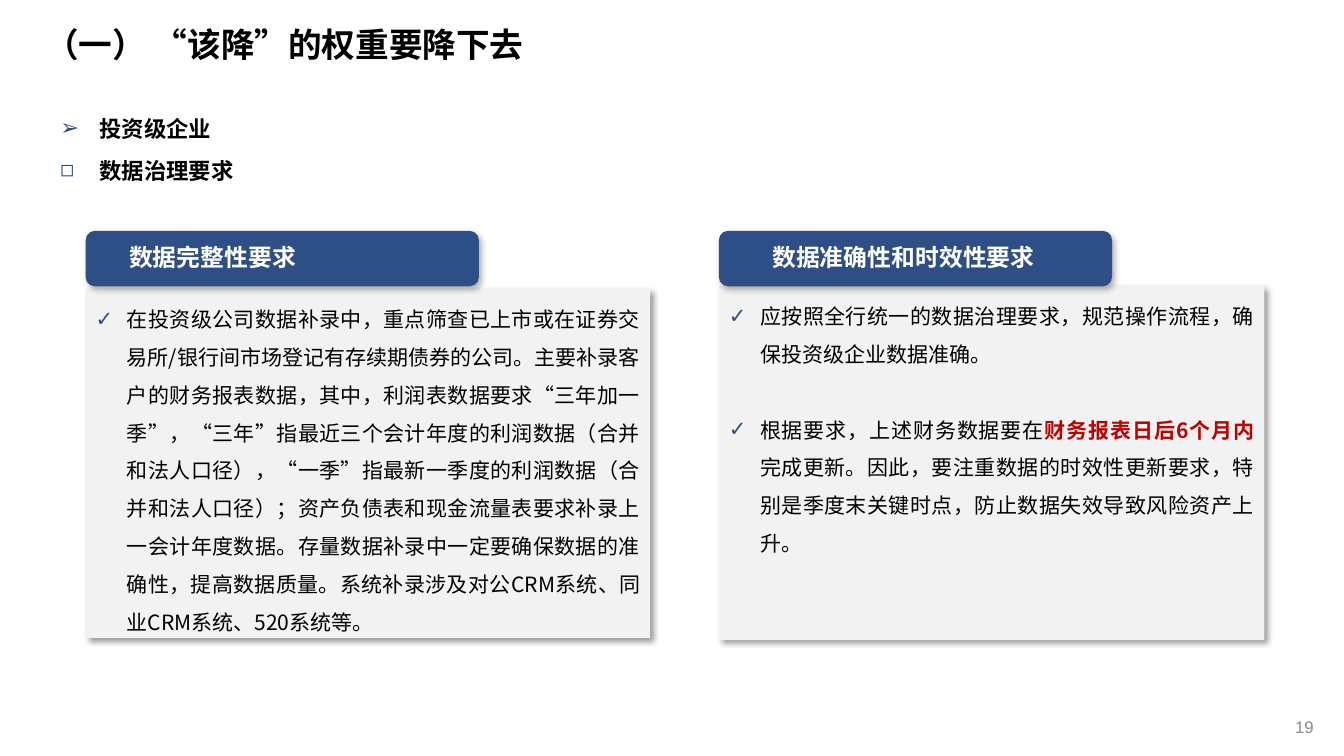
from lxml.etree import SubElement
from pptx import Presentation
from pptx.dml.color import RGBColor
from pptx.enum.shapes import MSO_SHAPE as Shape
from pptx.enum.text import MSO_ANCHOR as Anchor, MSO_AUTO_SIZE as AutoSize, PP_ALIGN as Align
from pptx.oxml.ns import qn
from pptx.util import Pt

EMU_PER_PX = 9144  # 100 px to the inch
NAVY = RGBColor(0x2E, 0x4F, 0x85)
PALE = RGBColor(0xF2, 0xF2, 0xF2)
GREY = RGBColor(0x8C, 0x8C, 0x8C)
RED = RGBColor(0xC0, 0x00, 0x00)
BLACK = RGBColor(0x00, 0x00, 0x00)
WHITE = RGBColor(0xFF, 0xFF, 0xFF)
CJK = "Noto Sans CJK SC"

TOPICS = [("➢", "投资级企业"), ("◻", "数据治理要求")]
COMPLETENESS = [[
    ("在投资级公司数据补录中，重点筛查已上市或在证券交易所/银行间市场登记有存续期债券的公司。"
     "主要补录客户的财务报表数据，其中，利润表数据要求“三年加一季”，“三年”指最近三个会计年度的"
     "利润数据（合并和法人口径），“一季”指最新一季度的利润数据（合并和法人口径）；资产负债表和"
     "现金流量表要求补录上一会计年度数据。存量数据补录中一定要确保数据的准确性，提高数据质量。"
     "系统补录涉及对公CRM系统、同业CRM系统、520系统等。", {}),
]]
ACCURACY = [
    [("应按照全行统一的数据治理要求，规范操作流程，确保投资级企业数据准确。", {})],
    [("根据要求，上述财务数据要在", {}),
     ("财务报表日后6个月内", {"color": RED, "bold": True}),
     ("完成更新。因此，要注重数据的时效性更新要求，特别是季度末关键时点，"
      "防止数据失效导致风险资产上升。", {})],
]


def px(*lengths):
    return [length * EMU_PER_PX for length in lengths]


class Page:
    def __init__(self, deck):
        self.slide = deck.slides.add_slide(deck.slide_layouts[5])
        self.shapes = self.slide.shapes

    def frame(self, box, anchor=Anchor.TOP, insets=(10, 5, 10, 5)):
        frame = box.text_frame
        left, top, right, bottom = px(*insets)
        values = {"word_wrap": True, "auto_size": AutoSize.NONE, "vertical_anchor": anchor,
                  "margin_left": left, "margin_top": top,
                  "margin_right": right, "margin_bottom": bottom}
        for name, value in values.items():
            setattr(frame, name, value)
        return frame

    def span(self, para, text, size, color=BLACK, bold=False, font=CJK):
        span = para.add_run()
        span.text = text
        span.font.color.rgb = color
        for name, value in {"size": Pt(size), "bold": bold, "name": font}.items():
            setattr(span.font, name, value)
        SubElement(span.font._element, qn("a:ea"), typeface=font)

    def bullet(self, para, mark, indent):
        """Give the paragraph a navy mark and a hanging indent in px."""
        props = para._p.get_or_add_pPr()
        [width] = px(indent)
        props.set("marL", str(width))
        props.set("indent", str(-width))
        color = SubElement(props, qn("a:buClr"))
        SubElement(color, qn("a:srgbClr"), val=str(NAVY))
        SubElement(props, qn("a:buFont"), typeface="Arial")
        SubElement(props, qn("a:buChar"), char=mark)
        para.alignment = Align.JUSTIFY

    def title(self, text, *place):
        box = self.shapes.title
        box.left, box.top, box.width, box.height = px(*place)
        para = self.frame(box, Anchor.BOTTOM, (10, 0, 10, 0)).paragraphs[0]
        para.alignment = Align.LEFT
        self.span(para, text, 24, bold=True)

    def label(self, text, *place, align=Align.LEFT, insets=(10, 5, 10, 5), **style):
        box = self.shapes.add_textbox(*px(*place))
        para = self.frame(box, Anchor.MIDDLE, insets).paragraphs[0]
        para.alignment = align
        para.line_spacing = 0.9
        self.span(para, text, **style)

    def topics(self, items, *place):
        frame = self.frame(self.shapes.add_textbox(*px(*place)))
        for number, (mark, text) in enumerate(items):
            para = frame.add_paragraph() if number else frame.paragraphs[0]
            self.bullet(para, mark, 39)
            para.line_spacing = Pt(30)
            self.span(para, text, 16, bold=True)

    def block(self, kind, fill, place, blur, distance, angle, opacity):
        """Draw a borderless shape with a soft black shadow; the shadow is in points and degrees."""
        box = self.shapes.add_shape(kind, *px(*place))
        box.shadow.inherit = False
        box.fill.solid()
        box.fill.fore_color.rgb = fill
        box.line.fill.background()
        effects = box._element.spPr.find(qn("a:effectLst"))
        shadow = SubElement(effects, qn("a:outerShdw"), blurRad=str(Pt(blur)),
                            dist=str(Pt(distance)), dir=str(angle * 60000),
                            algn="tl", rotWithShape="0")
        color = SubElement(shadow, qn("a:srgbClr"), val=str(BLACK))
        SubElement(color, qn("a:alpha"), val=str(opacity * 1000))
        return box

    def card(self, heading, paragraphs, left, top, width, height, label_shift):
        body = self.block(Shape.RECTANGLE, PALE, (left, top, width, height), 4, 3, 45, 40)
        frame = self.frame(body)
        for number, spans in enumerate(paragraphs):
            para = frame.add_paragraph() if number else frame.paragraphs[0]
            self.bullet(para, "✓", 31)
            para.line_spacing = 1.5
            if number:
                para.space_before = Pt(27)
            for text, style in spans:
                self.span(para, text, 15, **style)
        self.block(Shape.ROUNDED_RECTANGLE, NAVY, (left, 229, 390, 55), 4.5, 2.6, 53, 30)
        self.label(heading, left + label_shift, 232, 370, 50, insets=(33, 0, 33, 0),
                   size=17, color=WHITE, bold=True)


def main():
    deck = Presentation()
    deck.slide_width, deck.slide_height = px(1333, 750)
    page = Page(deck)
    page.title("（一） “该降”的权重要降下去", 35, 22, 847, 42)
    page.topics(TOPICS, 50, 94, 1263, 94)
    page.card("数据完整性要求", COMPLETENESS, 85, 287, 560, 346, label_shift=10)
    page.card("数据准确性和时效性要求", ACCURACY, 713, 284, 541, 351, label_shift=20)
    page.label("19", 1213, 706, 100, 33, align=Align.RIGHT, size=12, color=GREY, font="Arial")
    deck.save("out.pptx")


if __name__ == "__main__":
    main()
